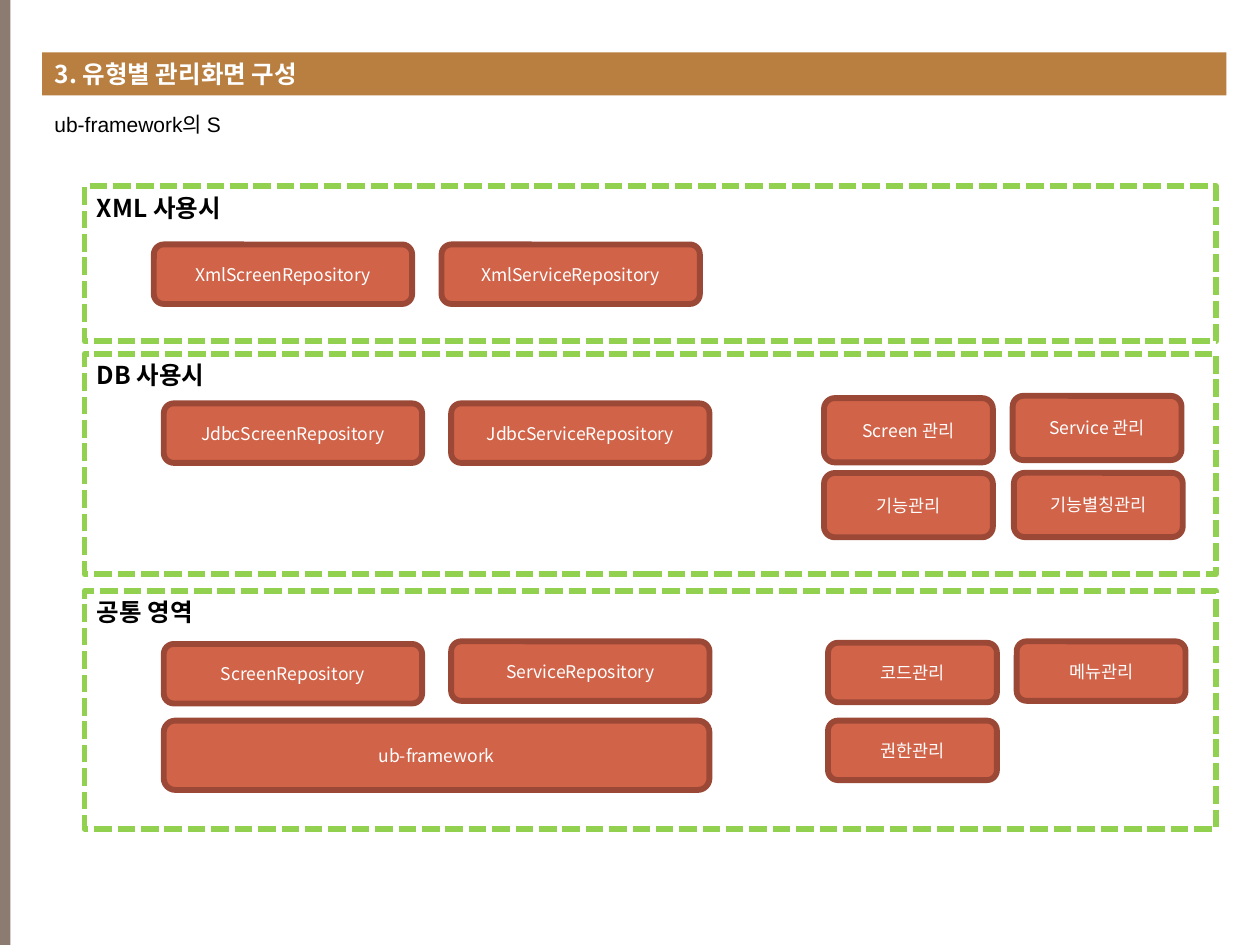
from lxml.etree import SubElement
from pptx import Presentation
from pptx.dml.color import RGBColor
from pptx.enum.dml import MSO_LINE
from pptx.enum.shapes import MSO_SHAPE as SHAPE
from pptx.enum.text import MSO_ANCHOR as ANCHOR, MSO_AUTO_SIZE as AUTO, PP_ALIGN as ALIGN
from pptx.oxml.ns import qn
from pptx.util import Pt

COLORS = {"bar": "8C7B70", "heading": "B87F40", "frame": "92D050", "box": "D16349",
          "edge": "9B4936", "white": "FFFFFF", "black": "000000"}
KOREAN = "Noto Sans CJK KR"
LINE_W = 3.35


def add_block(kind, x, y, w, h, fill, line=None):
    """Add a filled shape, outlined when a line colour is given."""
    sp = s.shapes.add_shape(kind, Pt(x), Pt(y), Pt(w), Pt(h))
    sp.shadow.inherit = False
    sp.fill.solid()
    sp.fill.fore_color.rgb = RGBColor.from_string(COLORS[fill])
    if line:
        sp.line.color.rgb = RGBColor.from_string(COLORS[line])
        sp.line.width = Pt(LINE_W)
    else:
        sp.line.fill.background()
    return sp


def add_run(sp, text, size, color, align=ALIGN.LEFT, bold=False, font=KOREAN):
    """Write one run of text with Latin and East Asian fonts."""
    p = sp.text_frame.paragraphs[0]
    p.alignment = align
    r = p.add_run()
    r.text = text
    r.font.size, r.font.bold, r.font.name = Pt(size), bold, font
    r.font.color.rgb = RGBColor.from_string(COLORS[color])
    SubElement(r.font._element, qn("a:ea")).set("typeface", KOREAN)


prs = Presentation()
prs.slide_width, prs.slide_height = Pt(720), Pt(540)
s = prs.slides.add_slide(prs.slide_layouts[5])

# Side bar, heading and introduction
add_block(SHAPE.RECTANGLE, 0, 0, 6, 540, "bar")

title = s.shapes.title
title.left, title.top, title.width, title.height = Pt(24), Pt(30), Pt(676.8), Pt(24.5)
title.fill.solid()
title.fill.fore_color.rgb = RGBColor.from_string(COLORS["heading"])
title.text_frame.vertical_anchor = ANCHOR.MIDDLE
title.text_frame.auto_size = AUTO.NONE
add_run(title, "3. 유형별 관리화면 구성", 14, "white", bold=True)

intro = s.shapes.add_textbox(Pt(24), Pt(60.5), Pt(627), Pt(21.6))
intro.text_frame.word_wrap = True
add_run(intro, "ub-framework의 S", 12, "black", font="Arial")

# Dashed areas: label, top, height, label width
areas = [
    ("XML 사용시", 106.5, 88.6, 92),
    ("DB 사용시", 202.2, 126, 81.4),
    ("공통 영역", 337.7, 136, 76.3),
]
for label, y, h, label_w in areas:
    frame = add_block(SHAPE.RECTANGLE, 48.3, y, 646.6, h, "white", "frame")
    frame.line.dash_style = MSO_LINE.SQUARE_DOT
    frame.line._ln.find(qn("a:prstDash")).set("val", "sysDash")
    tb = s.shapes.add_textbox(Pt(48.3), Pt(y), Pt(label_w), Pt(24.5))
    tb.text_frame.word_wrap = False
    add_run(tb, label, 14, "black", bold=True)

# Boxes grouped by size: (width, height), then text, left, top
REPOSITORY, MANAGER, DB_MANAGER, BASE = (147.6, 34), (96.5, 34), (96.5, 36.7), (311.8, 39.6)
boxes = {
    REPOSITORY: [
        ("XmlScreenRepository", 87.9, 139.7), ("XmlServiceRepository", 252.3, 139.7),
        ("JdbcScreenRepository", 93.6, 230.5), ("JdbcServiceRepository", 257.8, 230.5),
        ("ScreenRepository", 93.6, 368), ("ServiceRepository", 257.8, 366.5),
    ],
    MANAGER: [
        ("코드관리", 473.2, 367.3), ("메뉴관리", 581, 366.5), ("권한관리", 473.2, 411.8),
    ],
    DB_MANAGER: [
        ("Screen 관리", 470.9, 227.5), ("Service 관리", 578.7, 226.2),
        ("기능관리", 470.9, 270.3), ("기능별칭관리", 579.4, 270.2),
    ],
    BASE: [("ub-framework", 93.6, 411.8)],
}
for (w, h), items in boxes.items():
    for text, x, y in items:
        box = add_block(SHAPE.ROUNDED_RECTANGLE, x, y, w, h, "box", "edge")
        box.text_frame.word_wrap = True
        box.text_frame.vertical_anchor = ANCHOR.MIDDLE
        add_run(box, text, 10, "white", ALIGN.CENTER)

prs.save("out.pptx")
